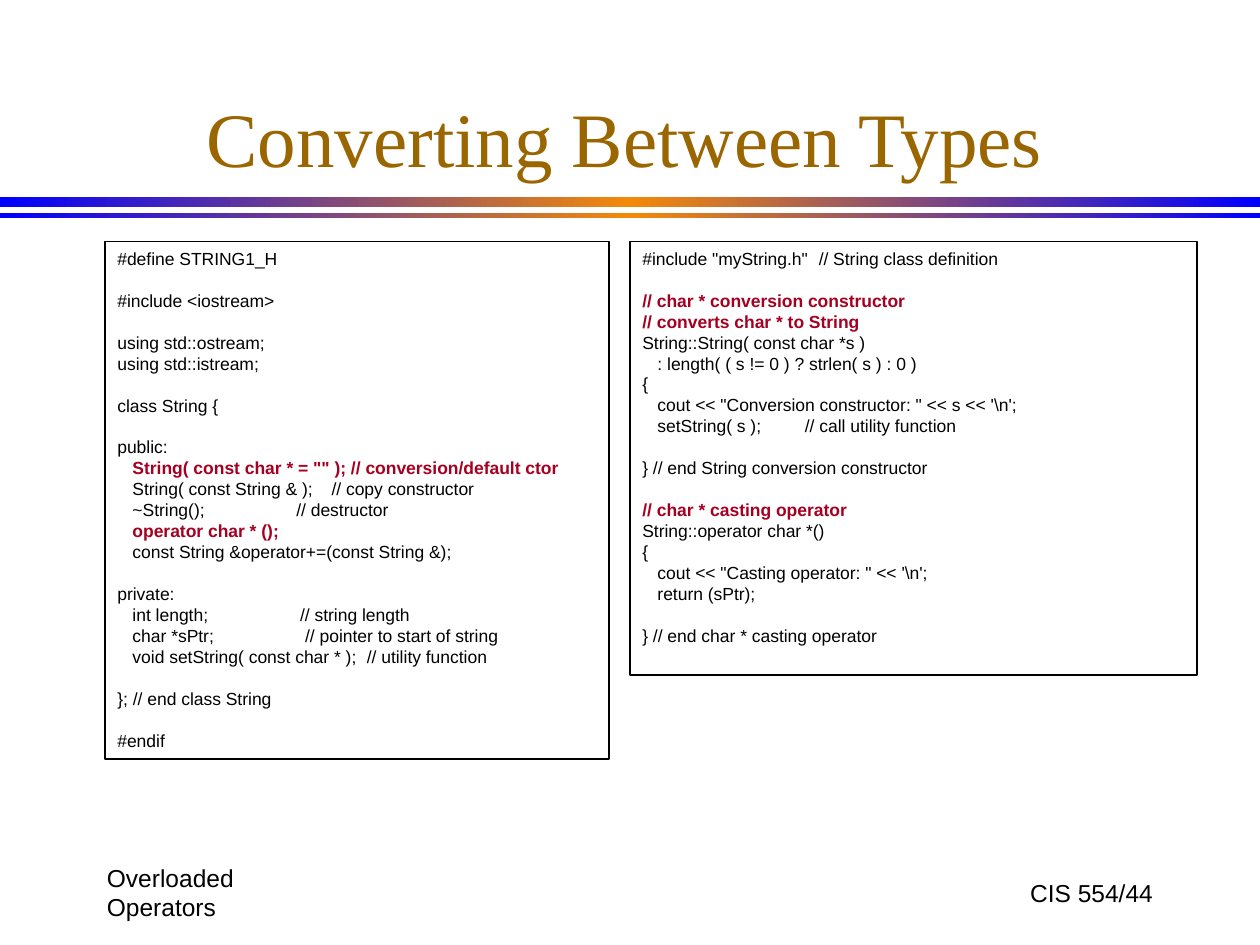
import copy

import pptx
import pptx.dml.color
import pptx.enum.shapes
import pptx.enum.text
import pptx.oxml
import pptx.oxml.ns
import pptx.util

Pt = pptx.util.Pt
Inches = pptx.util.Inches
ALIGN = pptx.enum.text.PP_ALIGN
ANCHOR = pptx.enum.text.MSO_ANCHOR
RECT = pptx.enum.shapes.MSO_SHAPE.RECTANGLE
qn = pptx.oxml.ns.qn

BLACK, RED, GOLD = "000000", "A50021", "996600"
BLUE, ORANGE = "0000FF", "F38909"
INDENT = 0.12  # inches, first tab stop of a code line

# Code lines: "" leaves a gap, "!" marks a key line,
# a pair adds the tab stop of the trailing comment in inches.
HEADER = [
    "#define STRING1_H", "",
    "#include <iostream>", "",
    "using std::ostream;",
    "using std::istream;", "",
    "class String {", "",
    "public:",
    "!\tString( const char * = \"\" ); // conversion/default ctor",
    ("\tString( const String & );\t// copy constructor", 1.7),
    ("\t~String();\t// destructor", 1.42),
    "!\toperator char * ();",
    "\tconst String &operator+=(const String &);", "",
    "private:",
    ("\tint length;\t// string length", 1.45),
    ("\tchar *sPtr;\t// pointer to start of string", 1.49),
    ("\tvoid setString( const char * );\t// utility function", 1.98), "",
    "}; // end class String", "",
    "#endif",
]
SOURCE = [
    ("#include \"myString.h\"\t// String class definition", 1.4), "",
    "!// char * conversion constructor",
    "!// converts char * to String",
    "String::String( const char *s )",
    "\t: length( ( s != 0 ) ? strlen( s ) : 0 )",
    "{",
    "\tcout << \"Conversion constructor: \" << s << '\\n';",
    ("\tsetString( s );\t// call utility function", 1.29), "",
    "} // end String conversion constructor", "",
    "!// char * casting operator",
    "String::operator char *()",
    "{",
    "\tcout << \"Casting operator: \" << '\\n';",
    "\treturn (sPtr);", "",
    "} // end char * casting operator",
]


def color(code):
    return pptx.dml.color.RGBColor.from_string(code)


def grid(*cells):
    """Turn columns and rows of a 120 by 90 grid into lengths."""
    return [Inches(cell / 12) for cell in cells]


class Deck:
    sans, serif = "Arial", "Times New Roman"

    def __init__(self):
        self.show = pptx.Presentation()
        self.show.slide_width, self.show.slide_height = grid(120, 90)
        self.slide = self.show.slides.add_slide(self.show.slide_layouts[5])

    def style(self, para, size, code=BLACK, face=sans, bold=False):
        for run in para.runs:
            run.font.size, run.font.name = Pt(size), face
            run.font.bold = bold
            run.font.color.rgb = color(code)

    def rect(self, *cells):
        box = self.slide.shapes.add_shape(RECT, *grid(*cells))
        box.shadow.inherit = False
        return box

    def title(self, text, *cells):
        box = self.slide.shapes.title
        box.left, box.top, box.width, box.height = grid(*cells)
        frame = box.text_frame
        frame.text = text
        frame.vertical_anchor = ANCHOR.BOTTOM
        frame.auto_size = pptx.enum.text.MSO_AUTO_SIZE.NONE
        frame.paragraphs[0].alignment = ALIGN.CENTER
        self.style(frame.paragraphs[0], 44, GOLD, self.serif)

    def band(self, top, high):
        bar = self.rect(0, top, 120, high)
        bar.line.fill.background()
        bar.fill.gradient()
        bar.fill.gradient_angle = 0
        stops = bar._element.spPr.find(".//" + qn("a:gsLst"))
        stops.insert(1, copy.deepcopy(stops[0]))
        for stop, place, code in zip(bar.fill.gradient_stops,
                                     (0, 0.5, 1), (BLUE, ORANGE, BLUE)):
            stop.position = place
            stop.color.rgb = color(code)

    def label(self, text, align, *cells):
        frame = self.slide.shapes.add_textbox(*grid(*cells)).text_frame
        frame.text = text
        frame.word_wrap = False
        frame.vertical_anchor = ANCHOR.MIDDLE
        frame.paragraphs[0].alignment = align
        self.style(frame.paragraphs[0], 14)

    def tabs(self, para, stops):
        props = para._p.get_or_add_pPr()
        tabs = pptx.oxml.ns.qn("a:tabLst")
        tabs = props.makeelement(tabs, {})
        for stop in stops:
            place = {"pos": str(Inches(stop)), "algn": "l"}
            tabs.append(tabs.makeelement(qn("a:tab"), place))
        props.append(tabs)

    def code(self, lines, *cells):
        box = self.rect(*cells)
        box.fill.background()
        box.line.color.rgb = color(BLACK)
        box.line.width = Pt(1)
        frame = box.text_frame
        frame.word_wrap = True
        frame.vertical_anchor = ANCHOR.TOP
        para, gap = frame.paragraphs[0], 0
        for line in lines:
            if not line:
                gap = 12
                continue
            text, *stops = [line] if isinstance(line, str) else line
            key = text.startswith("!")
            if para.runs:
                para = frame.add_paragraph()
            para.text = text.lstrip("!")
            para.alignment = ALIGN.LEFT
            para.line_spacing, para.space_before = Pt(12), Pt(gap)
            if text.lstrip("!").startswith("\t"):
                stops.insert(0, INDENT)
            if stops:
                self.tabs(para, stops)
            self.style(para, 10, RED if key else BLACK, bold=key)
            gap = 0


def main():
    deck = Deck()

    # Title over two gradient bands
    deck.band(18.75, 1)
    deck.band(20.25, 0.5)
    deck.title("Converting Between Types", 8, 3, 103, 15)

    # Code panels
    deck.code(HEADER, 10, 23, 48, 49.3)
    deck.code(SOURCE, 60, 23, 54, 41.3)

    # Footer
    deck.label("Overloaded Operators", ALIGN.LEFT, 9, 82, 25, 6)
    deck.label("CIS 554/44", ALIGN.RIGHT, 86, 82, 25, 6)

    deck.show.save("out.pptx")


if __name__ == "__main__":
    main()
